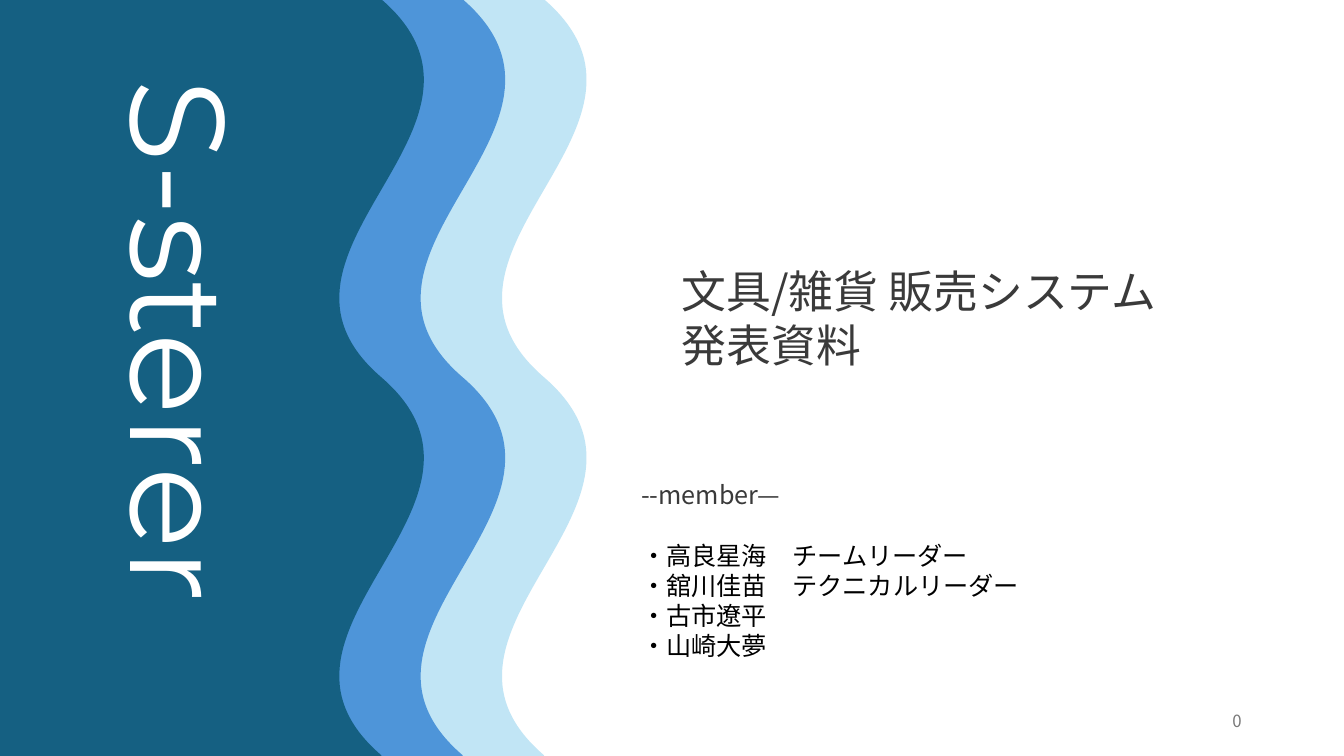
from dataclasses import dataclass

from lxml import etree
from pptx import Presentation
from pptx import util as u
from pptx.dml import color
from pptx.enum import text
from pptx.oxml import ns


@dataclass(frozen=True)
class Theme:
    pale: str = "C1E5F5"
    sky: str = "4E95D9"
    deep: str = "156082"
    white: str = "FFFFFF"
    ink: str = "3A3A3A"
    black: str = "000000"
    grey: str = "797979"
    latin: str = "Montserrat"
    japanese: str = "Noto Sans CJK JP"
    name_size: int = 96
    title_size: int = 32
    member_size: int = 18
    number_size: int = 12


THEME = Theme()
WIDTH, HEIGHT = 33.87, 19.05
WAVE_EDGE, WAVE_CREST, WAVE_SWING, WAVE_STEP = 13.69, 14.76, 3.69, 2.05
BLANK_LINE = 21.5


def rgb(value):
    return color.RGBColor.from_string(value)


def bend(side, top):
    curve = etree.Element(ns.qn("a:cubicBezTo"))
    for third, swing in ((1, WAVE_SWING), (2, -WAVE_SWING), (3, 0)):
        point = etree.SubElement(curve, ns.qn("a:pt"))
        point.set("x", str(u.Cm(WAVE_EDGE + swing)))
        point.set("y", str(u.Cm(top + HEIGHT * third / 6)))
    side.getparent().replace(side, curve)


def add_wave(slide, shift, fill):
    corners = [(0, HEIGHT), (0, 0), (WAVE_EDGE, 0),
               (WAVE_CREST, HEIGHT / 4), (WAVE_CREST, HEIGHT * 3 / 4)]
    outline = slide.shapes.build_freeform(u.Cm(WAVE_EDGE), u.Cm(HEIGHT))
    outline.add_line_segments([(u.Cm(x), u.Cm(y)) for x, y in corners], close=True)
    wave = outline.convert_to_shape()
    for half, side in enumerate(wave.element.xpath(".//a:lnTo")[-2:]):
        bend(side, half * HEIGHT / 2)
    wave.left = u.Cm(-shift)
    wave.shadow.inherit = False
    wave.fill.solid()
    wave.fill.fore_color.rgb = rgb(fill)
    wave.line.color.rgb = rgb(fill)
    wave.line.width = u.Pt(1.5)


def add_label(slide, box, lines, size, font, align=text.PP_ALIGN.LEFT,
              anchor=text.MSO_ANCHOR.TOP):
    label = slide.shapes.add_textbox(*map(u.Cm, box))
    frame = label.text_frame
    frame.word_wrap = True
    frame.vertical_anchor = anchor
    for index, (words, ink) in enumerate(lines):
        paragraph = frame.add_paragraph() if index else frame.paragraphs[0]
        paragraph.alignment = align
        run = paragraph.add_run()
        run.text = words
        run.font.size = u.Pt(size)
        run.font.name = font
        run.font.color.rgb = rgb(ink)
    for properties in label.element.xpath(".//a:rPr"):
        etree.SubElement(properties, ns.qn("a:ea")).set("typeface", font)
    return label


def add_system_name(slide):
    name = add_label(slide, (2.18, 1.76, 4.62, 17.86), [("S-sterer", THEME.white)],
                     THEME.name_size, THEME.latin)
    name.element.xpath(".//a:bodyPr")[0].set("vert", "eaVert")


def add_members(slide):
    members = ["・高良星海　チームリーダー", "・舘川佳苗　テクニカルリーダー",
               "・古市遼平", "・山崎大夢"]
    lines = [("--member—", THEME.ink)] + [(member, THEME.black) for member in members]
    roster = add_label(slide, (15.91, 11.96, 13.94, 4.88), lines,
                       THEME.member_size, THEME.japanese)
    roster.text_frame.paragraphs[1].space_before = u.Pt(BLANK_LINE)


def main():
    deck = Presentation()
    deck.slide_width, deck.slide_height = u.Cm(WIDTH), u.Cm(HEIGHT)
    slide = deck.slides.add_slide(deck.slide_layouts[6])
    for index, fill in enumerate((THEME.pale, THEME.sky, THEME.deep)):
        add_wave(slide, WAVE_STEP * index, fill)
    add_system_name(slide)
    add_members(slide)
    add_label(slide, (16.93, 6.53, 16.41, 3),
              [("文具/雑貨 販売システム", THEME.ink), ("発表資料", THEME.ink)],
              THEME.title_size, THEME.japanese)
    add_label(slide, (23.92, 17.65, 7.62, 1.02), [("0", THEME.grey)],
              THEME.number_size, THEME.japanese,
              text.PP_ALIGN.RIGHT, text.MSO_ANCHOR.MIDDLE)
    deck.save("out.pptx")


if __name__ == "__main__":
    main()
